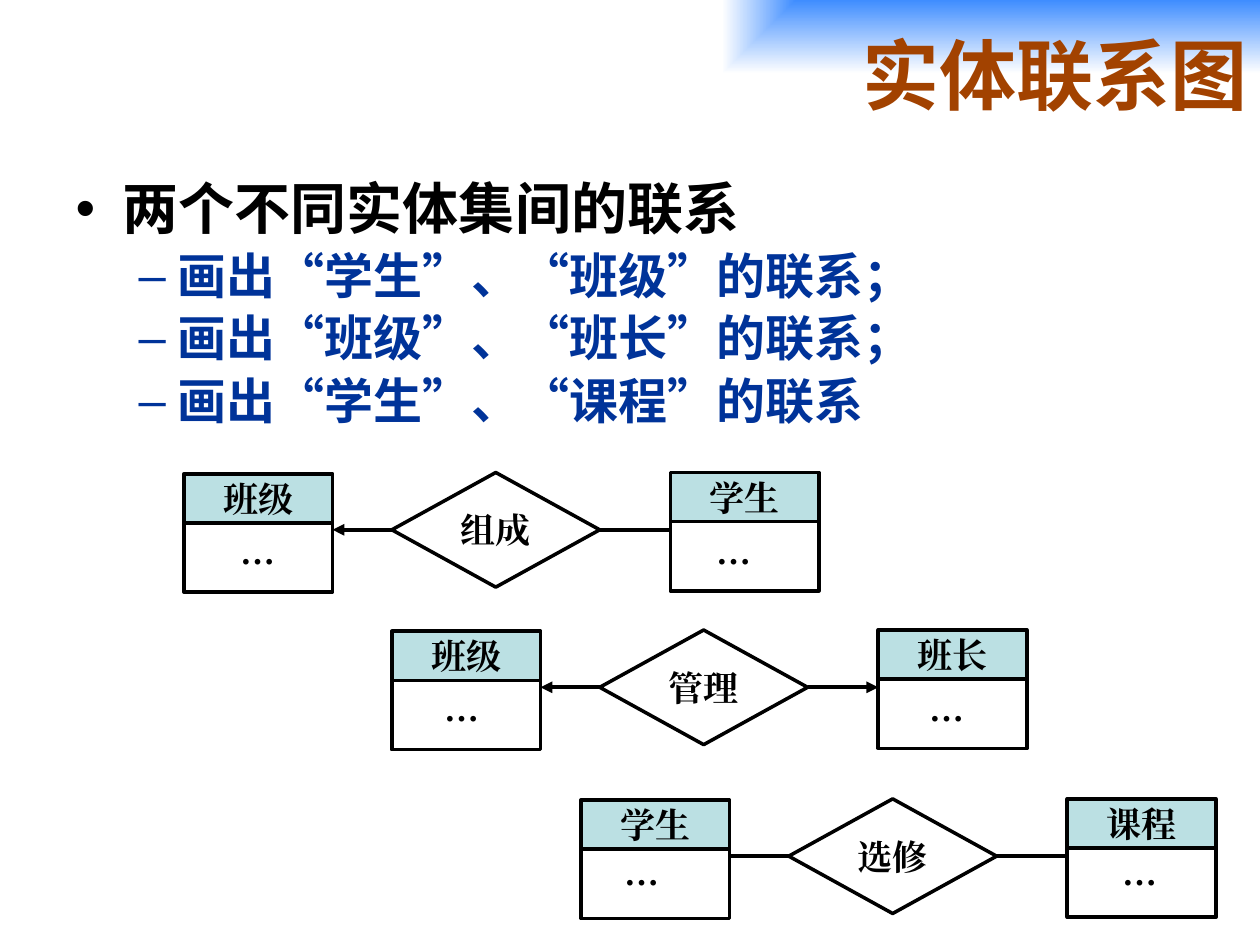
from lxml import etree
from pptx import Presentation
from pptx.dml.color import RGBColor
from pptx.enum import lang, shapes, text
from pptx.oxml import ns, parse_xml
from pptx.util import Inches, Pt

COLORS = {"black": "000000", "white": "FFFFFF", "header": "BBE0E3",
          "title": "A24200", "item": "003399", "glow": "3F8DFF"}
SANS, SERIF, BODY = "Noto Sans CJK SC", "Times New Roman", "Noto Sans CJK JP"
ENTITY_WIDTH, HEADER_HEIGHT, DETAIL_HEIGHT = 1.18, 0.39, 0.55
DIAMOND_WIDTH, DIAMOND_HEIGHT = 1.65, 0.91
DIAMOND_OFFSET, RIGHT_OFFSET = 1.65, 3.86

ITEMS = ["画出“学生”、“班级”的联系；", "画出“班级”、“班长”的联系；",
         "画出“学生”、“课程”的联系"]
DIAGRAMS = [
    (1.46, 3.75, ("班级", "组成", "学生"), (True, False), (0.35, 0.27), 0.49),
    (3.11, 5.0, ("班级", "管理", "班长"), (True, True), (0.32, 0.31), 0.49),
    (4.61, 6.34, ("学生", "选修", "课程"), (False, False), (0.25, 0.34), 0.45),
]


def color(name):
    """Return the named palette colour."""
    return RGBColor.from_string(COLORS[name])


def format_runs(paragraph, size, font_name, color_name):
    """Apply the bold Latin and East Asian type style to a paragraph."""
    for run in paragraph.runs:
        font = run.font
        font.size, font.name, font.bold = Pt(size), font_name, True
        font.color.rgb = color(color_name)
        font.language_id = lang.MSO_LANGUAGE_ID.SIMPLIFIED_CHINESE
        latin = font._element.find(ns.qn("a:latin"))
        east_asian = etree.Element(ns.qn("a:ea"), typeface=font_name)
        latin.addnext(east_asian)


def place(shape, left, top, width, height):
    """Move and size a shape in inches."""
    shape.left, shape.top = Inches(left), Inches(top)
    shape.width, shape.height = Inches(width), Inches(height)


def add_title(slide, left, top, width, height):
    """Fill the title placeholder and its corner gradient."""
    title = slide.shapes.title
    place(title, left, top, width, height)
    frame = title.text_frame
    frame.text = "实体联系图"
    frame.vertical_anchor = text.MSO_ANCHOR.MIDDLE
    frame.auto_size = text.MSO_AUTO_SIZE.NONE
    frame.paragraphs[0].alignment = text.PP_ALIGN.RIGHT
    format_runs(frame.paragraphs[0], 44, SANS, "title")
    title._element.spPr.append(parse_xml(
        f'<a:gradFill {ns.nsdecls("a")} rotWithShape="1"><a:gsLst>'
        f'<a:gs pos="0"><a:srgbClr val="{COLORS["glow"]}"/></a:gs>'
        f'<a:gs pos="100000"><a:srgbClr val="{COLORS["white"]}"/></a:gs>'
        '</a:gsLst><a:path path="rect"><a:fillToRect l="100000" b="100000"/>'
        '</a:path></a:gradFill>'))


def add_list(slide, left, top, width, height):
    """Fill the body placeholder with the heading and its items."""
    body = slide.placeholders[1]
    place(body, left, top, width, height)
    frame = body.text_frame
    frame.auto_size = text.MSO_AUTO_SIZE.NONE
    frame.text = "\n".join(["两个不同实体集间的联系"] + ITEMS)
    for index, paragraph in enumerate(frame.paragraphs):
        paragraph.level = min(index, 1)
        paragraph.line_spacing = 0.9
        style = (28, BODY, "item") if index else (32, BODY, "black")
        format_runs(paragraph, *style)


def add_box(group, kind, box, fill, label=""):
    """Add an outlined shape with an optional centred label."""
    shape = group.shapes.add_shape(kind, *map(Inches, box))
    shape.shadow.inherit = False
    shape.fill.solid()
    shape.fill.fore_color.rgb = color(fill)
    shape.line.color.rgb = color("black")
    shape.line.width = Pt(2)
    if label:
        frame = shape.text_frame
        frame.text = label
        frame.word_wrap = False
        frame.vertical_anchor = text.MSO_ANCHOR.MIDDLE
        frame.paragraphs[0].alignment = text.PP_ALIGN.CENTER
        format_runs(frame.paragraphs[0], 20, SERIF, "black")


def add_entity(group, left, top, label):
    """Add an entity with a header and an attribute area."""
    rectangle = shapes.MSO_SHAPE.RECTANGLE
    add_box(group, rectangle, (left, top, ENTITY_WIDTH, HEADER_HEIGHT), "header", label)
    add_box(group, rectangle,
            (left, top + HEADER_HEIGHT, ENTITY_WIDTH, DETAIL_HEIGHT), "white")


def add_link(group, start, end, y, has_arrow):
    """Add a horizontal link, with an arrowhead at its end if wanted."""
    link = group.shapes.add_connector(
        shapes.MSO_CONNECTOR.STRAIGHT, Inches(start), Inches(y), Inches(end), Inches(y))
    link.line.color.rgb = color("black")
    link.line.width = Pt(2.25)
    if has_arrow:
        etree.SubElement(link.line._get_or_add_ln(), ns.qn("a:tailEnd"), type="triangle")
    etree.SubElement(link._element.spPr, ns.qn("a:effectLst"))


def add_ellipsis(group, left, top):
    """Add the mark that stands for the attributes."""
    box = group.shapes.add_textbox(*map(Inches, (left, top, 0.48, 0.44)))
    frame = box.text_frame
    frame.text = "…"
    frame.word_wrap = False
    frame.auto_size = text.MSO_AUTO_SIZE.SHAPE_TO_FIT_TEXT
    format_runs(frame.paragraphs[0], 20, SANS, "black")


def add_diagram(slide, left, top, labels, arrows, mark_offsets, mark_drop):
    """Add two entities joined by a relationship diamond."""
    group = slide.shapes.add_group_shape()
    diamond, right = left + DIAMOND_OFFSET, left + RIGHT_OFFSET
    middle = top + DIAMOND_HEIGHT / 2
    add_entity(group, left, top + 0.01, labels[0])
    add_entity(group, right, top, labels[2])
    add_box(group, shapes.MSO_SHAPE.FLOWCHART_DECISION,
            (diamond, top, DIAMOND_WIDTH, DIAMOND_HEIGHT), "white", labels[1])
    add_link(group, diamond, left + ENTITY_WIDTH, middle, arrows[0])
    add_link(group, diamond + DIAMOND_WIDTH, right, middle, arrows[1])
    for entity, offset in zip((left, right), mark_offsets):
        add_ellipsis(group, entity + offset, top + mark_drop)


def main():
    """Build and save the slide."""
    presentation = Presentation()
    presentation.slide_width, presentation.slide_height = Inches(10), Inches(7.5)
    slide = presentation.slides.add_slide(presentation.slide_layouts[1])
    add_list(slide, 0.5, 1.39, 9, 1.21)
    add_title(slide, 1.46, 0, 8.54, 1.17)
    for diagram in DIAGRAMS:
        add_diagram(slide, *diagram)
    presentation.save("out.pptx")


if __name__ == "__main__":
    main()
